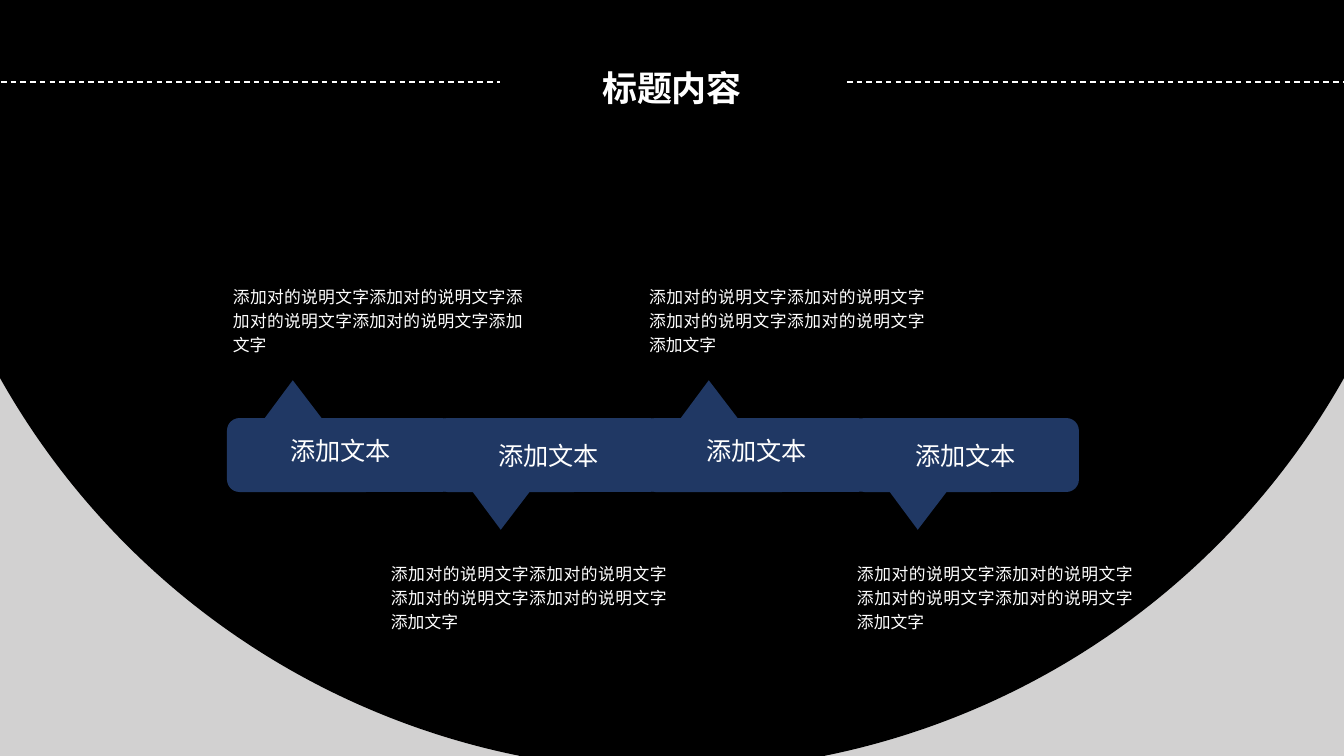
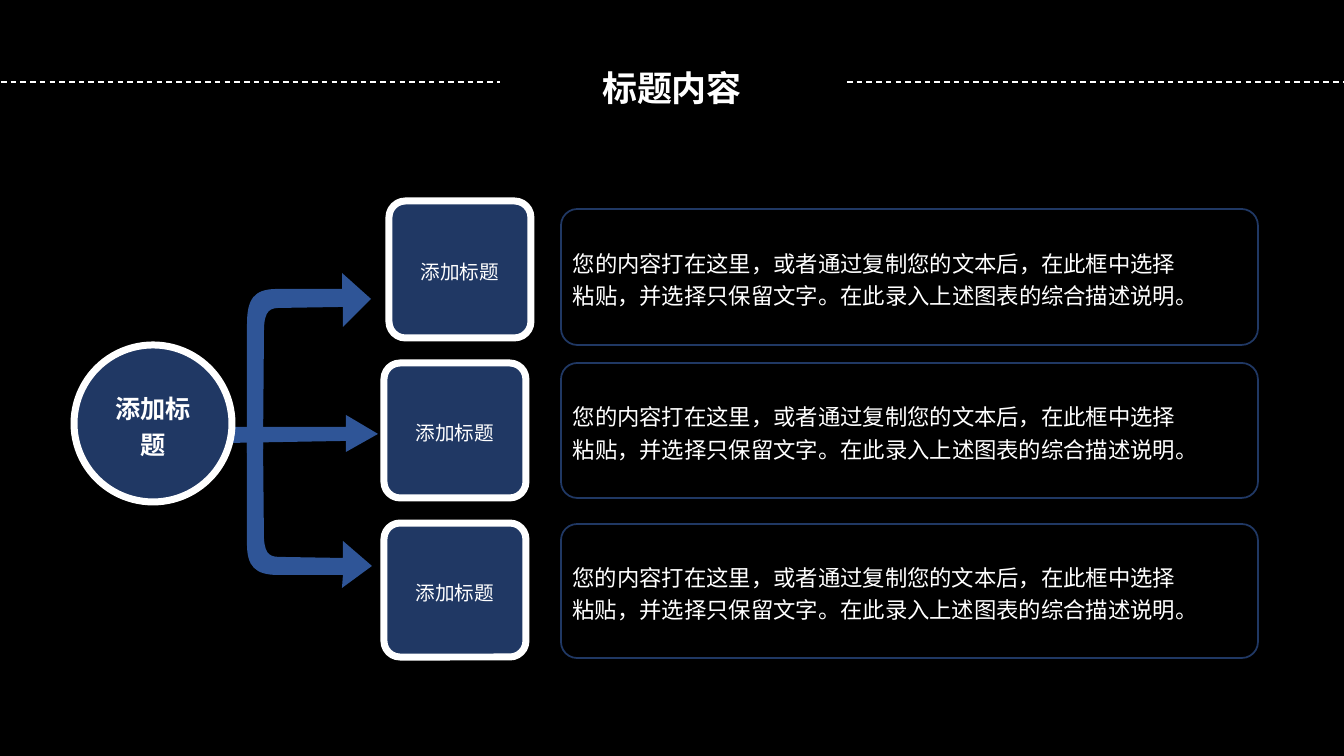
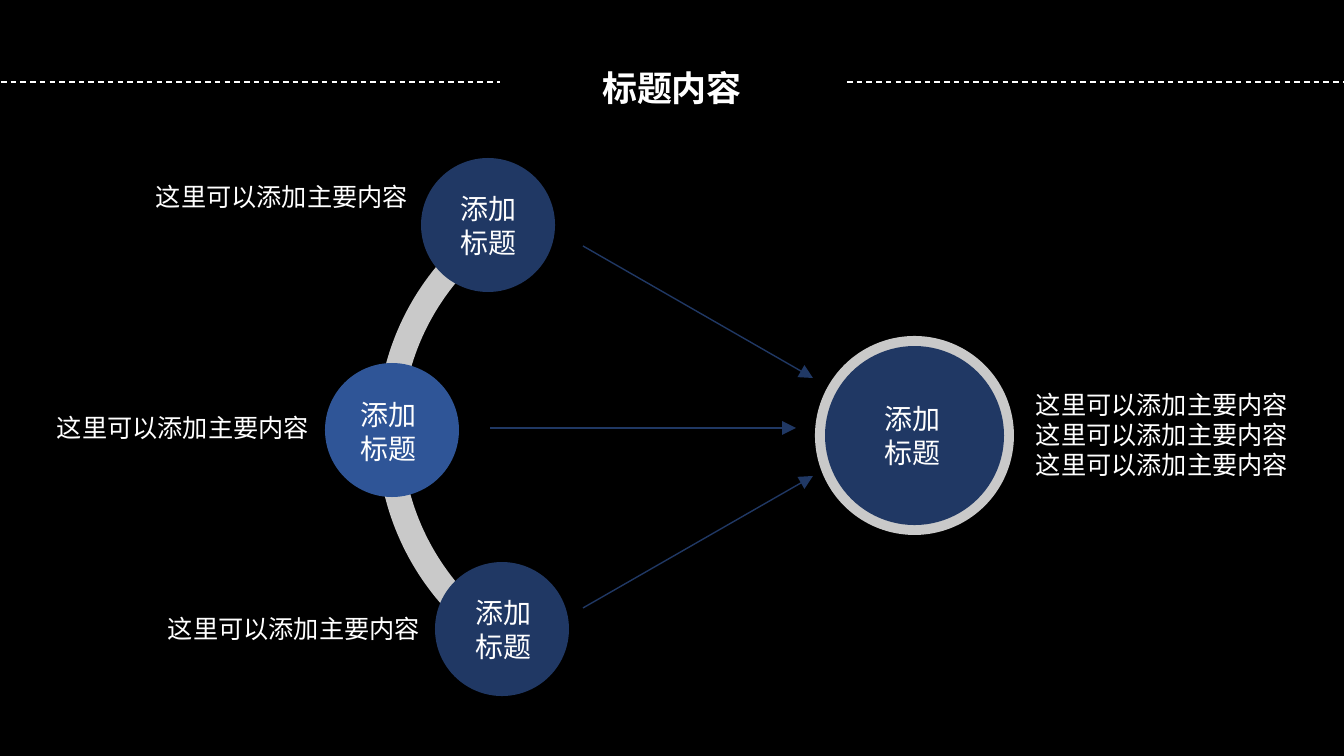
from lxml.etree import SubElement
from pptx import Presentation
from pptx.dml.color import RGBColor as RGB
from pptx.enum.dml import MSO_LINE as DASH
from pptx.enum.shapes import MSO_CONNECTOR as LINK, MSO_SHAPE as KIND
from pptx.enum.text import MSO_ANCHOR as ANCHOR, MSO_AUTO_SIZE as FIT, PP_ALIGN as ALIGN
from pptx.oxml.ns import qn
from pptx.util import Pt

WIDE, HIGH = 1344, 756
PX = 12192000 / WIDE
FACE = "Noto Sans CJK SC"
BLACK = RGB(0x00, 0x00, 0x00)
WHITE = RGB(0xFF, 0xFF, 0xFF)
NAVY = RGB(0x20, 0x38, 0x64)
BLUE = RGB(0x2F, 0x55, 0x97)
GREY = RGB(0xC9, 0xC9, 0xC9)
PALE = RGB(0xD2, 0xD1, 0xD1)


def emu(*sizes):
    return [round(size * PX) for size in sizes]


def write(frame, text, size=18, bold=False, align=ALIGN.CENTER, anchor=ANCHOR.MIDDLE,
          space=None, pad=(10, 5, 10, 5)):
    frame.auto_size = FIT.NONE
    frame.word_wrap = True
    frame.vertical_anchor = anchor
    (frame.margin_left, frame.margin_top,
     frame.margin_right, frame.margin_bottom) = emu(*pad)
    for i, line in enumerate(text.split("\n")):
        para = frame.add_paragraph() if i else frame.paragraphs[0]
        para.alignment = align
        if space:
            para.line_spacing = space
        run = para.add_run()
        run.text = line
        font = run.font
        font.name, font.size, font.bold = FACE, Pt(size), bold
        font.color.rgb = WHITE
        SubElement(run._r.get_or_add_rPr(), qn("a:ea"), typeface=FACE)


class Deck:
    """Hold the shared style and the current slide."""

    def __init__(self):
        self.prs = Presentation()
        self.prs.slide_width, self.prs.slide_height = emu(WIDE, HIGH)
        back = self.prs.slide_master.background.fill
        back.solid()
        back.fore_color.rgb = BLACK

    def page(self, title):
        self.slide = self.prs.slides.add_slide(self.prs.slide_layouts[5])
        self.shapes = self.slide.shapes
        head = self.shapes.title
        head.left, head.top, head.width, head.height = emu(585, 62, 174, 52)
        write(head.text_frame, title, size=25, bold=True)
        for left, right in ((1, 500), (847, WIDE)):
            self.line(left, 82, right, 82, WHITE, dash=True)

    def glow(self, inner, outer):
        fill = self.slide.background.fill
        fill.gradient()
        for stop, color in zip(fill.gradient_stops, (inner, outer)):
            stop.color.rgb = color
            stop.position = 1
        grad = self.slide._element.find(".//" + qn("a:gradFill"))
        grad.remove(grad.find(qn("a:lin")))
        ring = SubElement(grad, qn("a:path"), {"path": "circle"})
        SubElement(ring, qn("a:fillToRect"), l="43000", t="0", r="43000", b="100000")

    def paint(self, shape, fill, edge=None, width=1):
        shape.shadow.inherit = False
        if fill is None:
            shape.fill.background()
        else:
            shape.fill.solid()
            shape.fill.fore_color.rgb = fill
        if edge is None:
            shape.line.fill.background()
        else:
            shape.line.color.rgb = edge
            shape.line.width = Pt(width)

    def shape(self, kind, box, fill=None, edge=None, width=1, bend=(), text=None, **form):
        shape = self.shapes.add_shape(kind, *emu(*box))
        for i, value in enumerate(bend):
            shape.adjustments[i] = value
        self.paint(shape, fill, edge, width)
        if text:
            write(shape.text_frame, text, **form)

    def text(self, box, text, **form):
        write(self.shapes.add_textbox(*emu(*box)).text_frame, text, **form)

    def form(self, start, steps, fill):
        draft = self.shapes.build_freeform(*emu(*start))
        draft.add_line_segments(
            [emu(*step[i:i + 2]) for step in steps for i in range(0, len(step), 2)])
        shape = draft.convert_to_shape()
        lines = iter(list(shape._element.iter(qn("a:lnTo"))))
        for step in steps:
            first = next(lines)
            if len(step) == 6:
                first.tag = qn("a:cubicBezTo")
                for more in (next(lines), next(lines)):
                    first.append(more[0])
                    more.getparent().remove(more)
        self.paint(shape, fill)

    def line(self, x1, y1, x2, y2, color, dash=False, tip=False):
        line = self.shapes.add_connector(LINK.STRAIGHT, *emu(x1, y1, x2, y2))
        line.line.color.rgb = color
        line.line.width = Pt(1)
        if dash:
            line.line.dash_style = DASH.DASH
        props = line._element.spPr
        if tip:
            SubElement(props.find(qn("a:ln")), qn("a:tailEnd"),
                       type="triangle", w="lg", len="lg")
        SubElement(props, qn("a:effectLst"))


def steps(deck):
    deck.page("标题内容")
    deck.glow(BLACK, PALE)
    note = "添加对的说明文字" * 4 + "添加文字"
    boxes = ((227, 258, 302, 121), (385, 499, 288, 194),
             (643, 258, 288, 121), (851, 499, 288, 194))
    for i, box in enumerate(boxes):
        low = i % 2
        deck.shape(KIND.ROUNDED_RECTANGULAR_CALLOUT, (227 + i * 625 // 3, 418, 227, 74),
                   NAVY, bend=(-0.21, 1.01 if low else -1.01, 0.17), text="添加文本",
                   pad=(11, 6, 11, 6 if low else 16))
        deck.text(box, note, size=12, align=ALIGN.JUSTIFY, space=1.2, pad=(6, 6, 6, 6))


def split(deck):
    deck.page("标题内容")
    down = [(264, 538), (265, 556, 271, 557, 282, 557), (343, 558), (343, 541),
            (372, 566), (342, 588), (343, 575), (343, 575, 301, 575, 278, 575),
            (255, 575, 247, 566, 247, 544), (247, 433), (250, 415, 259, 417, 263, 435)]
    mid = [(346, 441), (346, 452), (378, 434), (346, 415), (346, 427), (230, 427),
           (230, 443)]
    rise = [(264, 331), (264, 309, 271, 308, 281, 308), (343, 307), (343, 327),
            (371, 299), (342, 273), (342, 289), (342, 289, 300, 289, 277, 289),
            (254, 289, 247, 299, 247, 324), (247, 453), (249, 473, 259, 471, 263, 450)]
    for start, path in (((263, 435), down), ((230, 443), mid), ((263, 450), rise)):
        deck.form(start, path, BLUE)
    body = ("您的内容打在这里，或者通过复制您的文本后，在此框中选择\n"
            "粘贴，并选择只保留文字。在此录入上述图表的综合描述说明。")
    form = dict(space=1.2, pad=(7, 3, 7, 3))
    rows = ((209, 136, 389, 201, 137), (363, 135, 384, 363, 135), (524, 134, 384, 523, 134))
    for top, high, left, peak, tall in rows:
        deck.shape(KIND.ROUNDED_RECTANGLE, (561, top, 697, high), edge=NAVY, width=1.25,
                   bend=(0.12,), text=body, size=16, align=ALIGN.LEFT, **form)
        deck.shape(KIND.ROUNDED_RECTANGLE, (left, peak, 142, tall), NAVY, WHITE, 5,
                   bend=(0.12,), text="添加标题", size=14, **form)
    deck.shape(KIND.OVAL, (74, 345, 158, 157), NAVY, WHITE, 5,
               text="添加标题", bold=True, **form)


def merge(deck):
    deck.page("标题内容")
    deck.shape(KIND.OVAL, (815, 336, 199, 199), GREY)
    arc = [(450, 269, 402, 346, 402, 432), (402, 517, 448, 592, 515, 634), (503, 656),
           (427, 610, 377, 527, 377, 432), (377, 336, 429, 252, 507, 207), (519, 229)]
    deck.form((519, 229), arc, GREY)
    discs = ((421, 158, 134, NAVY, 446, 186), (325, 363, 134, BLUE, 346, 392),
             (435, 562, 134, NAVY, 461, 590), (825, 346, 179, NAVY, 870, 396))
    for left, top, size, color, x, y in discs:
        deck.shape(KIND.OVAL, (left, top, size, size), color)
        deck.text((x, y, 86, 78), "添加\n标题", size=20)
    for ends in ((583, 246, 813, 378), (583, 608, 813, 476), (490, 428, 796, 428)):
        deck.line(*ends, NAVY, tip=True)
    note = "这里可以添加主要内容"
    for left, top, width in ((111, 176, 307), (20, 407, 299), (131, 608, 299)):
        deck.text((left, top, width, 40), note, align=ALIGN.RIGHT, anchor=ANCHOR.TOP)
    deck.text((1026, 384, 299, 102), "\n".join([note] * 3), align=ALIGN.LEFT,
              anchor=ANCHOR.TOP)


def main():
    deck = Deck()
    for draw in (steps, split, merge):
        draw(deck)
    deck.prs.save("out.pptx")


if __name__ == "__main__":
    main()
